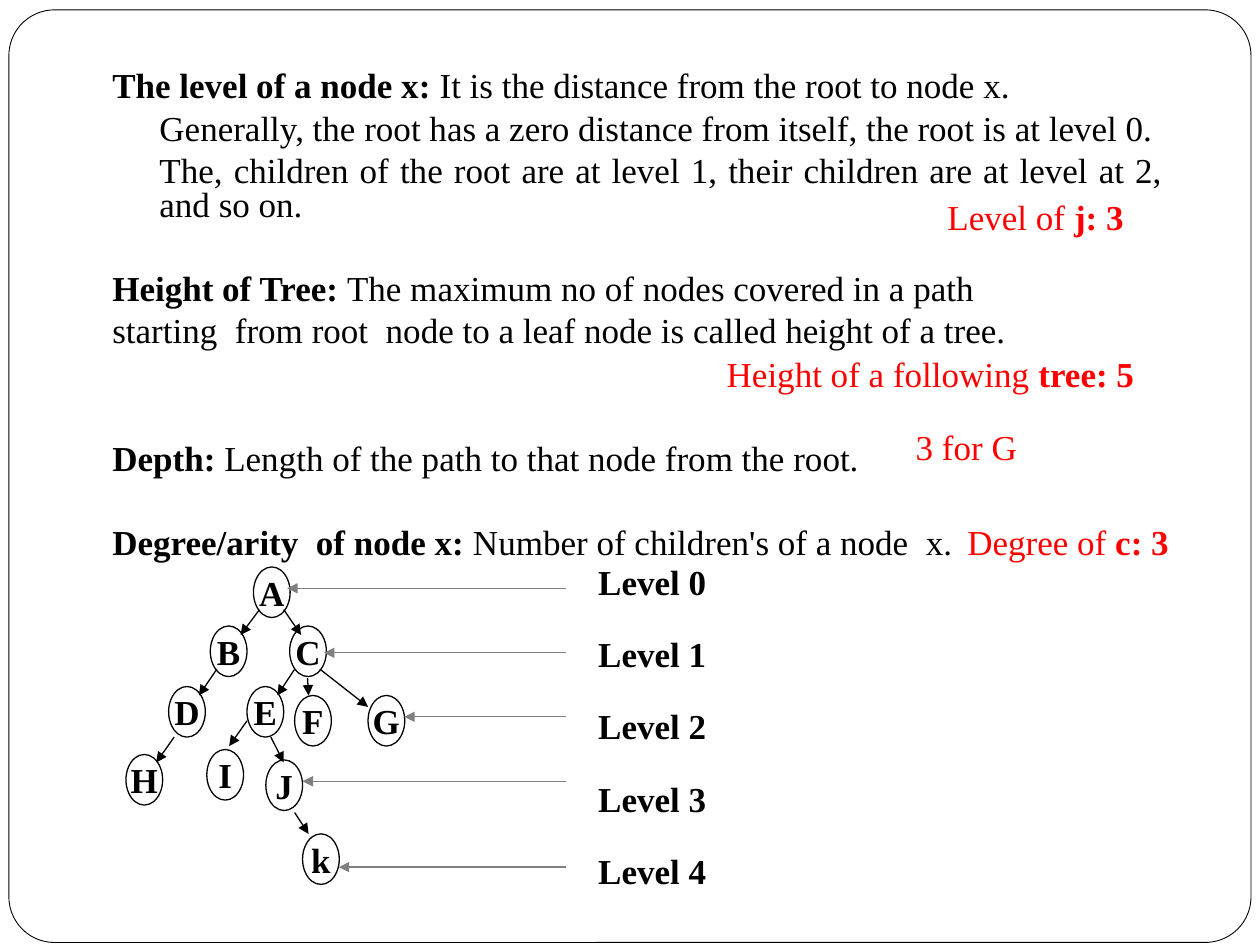
import dataclasses

import lxml.etree
import pptx
import pptx.dml.color
import pptx.enum.shapes
import pptx.enum.text
import pptx.oxml.ns
import pptx.util

Cm = pptx.util.Cm
Pt = pptx.util.Pt
RGBColor = pptx.dml.color.RGBColor
Align = pptx.enum.text.PP_ALIGN
Shape = pptx.enum.shapes.MSO_SHAPE
qn = pptx.oxml.ns.qn


@dataclasses.dataclass(frozen=True)
class Theme:
    """Hold the colours, type and line sizes of the slide."""
    font: str = "Times New Roman"
    size: int = 20
    ink: RGBColor = RGBColor(0, 0, 0)
    answer: RGBColor = RGBColor(255, 0, 0)
    pointer: RGBColor = RGBColor(128, 128, 128)
    frame_width: float = 0.5
    line_width: float = 0.75


def apply(target, values):
    """Set each named value on the target."""
    for name, value in values.items():
        setattr(target, name, value)


class SlideBuilder:
    """Draw styled elements on the current slide."""

    def __init__(self, slide, theme):
        """Keep the slide and its theme."""
        self.slide = slide
        self.theme = theme

    def fill_paragraph(self, paragraph, runs, color, **layout):
        """Fill a paragraph with (text, bold) runs."""
        apply(paragraph, layout)
        for text, bold in runs:
            run = paragraph.add_run()
            run.text = text
            apply(run.font, {"name": self.theme.font, "size": Pt(self.theme.size), "bold": bold})
            run.font.color.rgb = color

    def body(self, box, entries):
        """Place definitions in the body placeholder."""
        title = self.slide.shapes.title.element
        title.getparent().remove(title)
        shape = self.slide.placeholders[1]
        apply(shape, dict(zip(("left", "top", "width", "height"), map(Cm, box))))
        frame = shape.text_frame
        apply(frame, {"auto_size": pptx.enum.text.MSO_AUTO_SIZE.NONE,
                      "vertical_anchor": pptx.enum.text.MSO_ANCHOR.TOP, "word_wrap": True})
        for index, (runs, indent, before, spacing) in enumerate(entries):
            paragraph = frame.add_paragraph() if index else frame.paragraphs[0]
            properties = paragraph._p.get_or_add_pPr()
            properties.set("marL", str(int(Cm(indent))))
            properties.set("indent", "0")
            lxml.etree.SubElement(properties, qn("a:buNone"))
            self.fill_paragraph(paragraph, runs, self.theme.ink, alignment=Align.JUSTIFY,
                                line_spacing=spacing, space_before=Pt(before))

    def text(self, box, paragraphs, color, spacing=1.0, before=0):
        """Add a text box with one list of runs per paragraph."""
        frame = self.slide.shapes.add_textbox(*map(Cm, box)).text_frame
        frame.word_wrap = True
        for index, runs in enumerate(paragraphs):
            paragraph = frame.add_paragraph() if index else frame.paragraphs[0]
            self.fill_paragraph(paragraph, runs, color, line_spacing=spacing,
                                space_before=Pt(before if index else 0))

    def outline(self, kind, box, width):
        """Add an unfilled shape with a thin outline."""
        shape = self.slide.shapes.add_shape(kind, *map(Cm, box))
        shape.shadow.inherit = False
        shape.fill.background()
        shape.line.color.rgb = self.theme.ink
        shape.line.width = Pt(width)
        return shape

    def frame(self, box, rounding):
        """Add the rounded frame around the slide."""
        shape = self.outline(Shape.ROUNDED_RECTANGLE, box, self.theme.frame_width)
        shape.adjustments[0] = rounding

    def node(self, name, left, top):
        """Add a labelled tree node."""
        shape = self.outline(Shape.OVAL, (left, top, 0.74, 1.02), self.theme.line_width)
        apply(shape.text_frame, {"word_wrap": False,
                                 "vertical_anchor": pptx.enum.text.MSO_ANCHOR.MIDDLE})
        self.fill_paragraph(shape.text_frame.paragraphs[0], [(name, True)], self.theme.ink,
                            alignment=Align.CENTER)

    def arrow(self, points, color):
        """Add a straight arrow between two points."""
        connector = self.slide.shapes.add_connector(
            pptx.enum.shapes.MSO_CONNECTOR.STRAIGHT, *map(Cm, points))
        connector.line.color.rgb = color
        connector.line.width = Pt(self.theme.line_width)
        properties = connector._element.spPr
        lxml.etree.SubElement(properties.get_or_add_ln(), qn("a:tailEnd"), type="triangle")
        lxml.etree.SubElement(properties, qn("a:effectLst"))


DEFINITIONS = [
    ([("The level of a node x: ", True), ("It is the distance from the root to node x.", False)],
     0, 0, 0.8),
    ([("Generally, the root has a zero distance from itself, the root is at level 0.", False)],
     0.95, 5, 0.8),
    ([("The, children of the root are at level 1, their children are at level at 2, "
       "and so on.", False)], 0.95, 5, 0.8),
    ([("Height of Tree: ", True), ("The maximum no of nodes covered in a path ", False)],
     0, 29, 0.8),
    ([("starting  from root  node to a leaf node is called height of a tree. ", False)],
     0, 5, 0.8),
    ([("Depth: ", True), ("Length of the path to that node from the root.", False)],
     0, 49, 1.0),
    ([("Degree/arity  of node x: ", True), ("Number of children's of a node  x.", False)],
     0, 29, 0.8),
]
NODES = {
    "A": (5.11, 11.43), "B": (4.24, 12.62), "C": (5.84, 12.62), "D": (3.4, 13.84),
    "E": (4.98, 13.84), "F": (5.94, 14.02), "G": (7.42, 14.02), "H": (2.54, 15.21),
    "I": (4.17, 15.11), "J": (5.36, 15.32), "k": (6.1, 16.81),
}
EDGES = [
    (5.23, 12.29, 4.85, 12.8), (5.72, 12.29, 6.07, 12.8), (4.37, 13.49, 4.01, 14.02),
    (3.51, 14.86, 3.15, 15.37), (6.45, 13.49, 7.42, 14.25), (5.94, 13.49, 5.59, 14.02),
    (6.2, 13.67, 6.22, 14.02), (4.98, 14.53, 4.62, 15.04), (5.46, 14.86, 5.72, 15.37),
    (5.94, 16.38, 6.22, 16.81),
]
POINTERS = [(5.79, 11.86), (6.53, 13.16), (8.15, 14.45), (6.1, 15.75), (6.83, 17.48)]
ANSWERS = [
    ((19.25, 10.36, 4.65, 1.12), [("Degree of ", False), ("c: 3", True)]),
    ((18.85, 3.81, 4.45, 1.12), [("Level of ", False), ("j: 3", True)]),
    ((14.4, 6.99, 8.89, 1.12), [("Height of a following ", False), ("tree: 5", True)]),
    ((18.21, 8.46, 2.57, 1.12), [("3 for G", False)]),
]


def main():
    """Build and save the slide."""
    presentation = pptx.Presentation()
    apply(presentation, {"slide_width": Cm(25.4), "slide_height": Cm(19.05)})
    theme = Theme()
    builder = SlideBuilder(presentation.slides.add_slide(presentation.slide_layouts[1]), theme)
    builder.frame((0.18, 0.2, 25.04, 18.8), 0.049)
    builder.body((2.01, 1.32, 21.69, 9.47), DEFINITIONS)
    for edge in EDGES:
        builder.arrow(edge, theme.ink)
    for name, position in NODES.items():
        builder.node(name, *position)
    for tip, height in POINTERS:
        builder.arrow((11.4, height, tip, height), theme.pointer)
    levels = [[(f"Level {level}", True)] for level in range(len(POINTERS))]
    builder.text((11.81, 11, 2.79, 7.11), levels, theme.ink, spacing=1.2, before=12.5)
    for box, runs in ANSWERS:
        builder.text(box, [runs], theme.answer)
    presentation.save("out.pptx")


if __name__ == "__main__":
    main()
